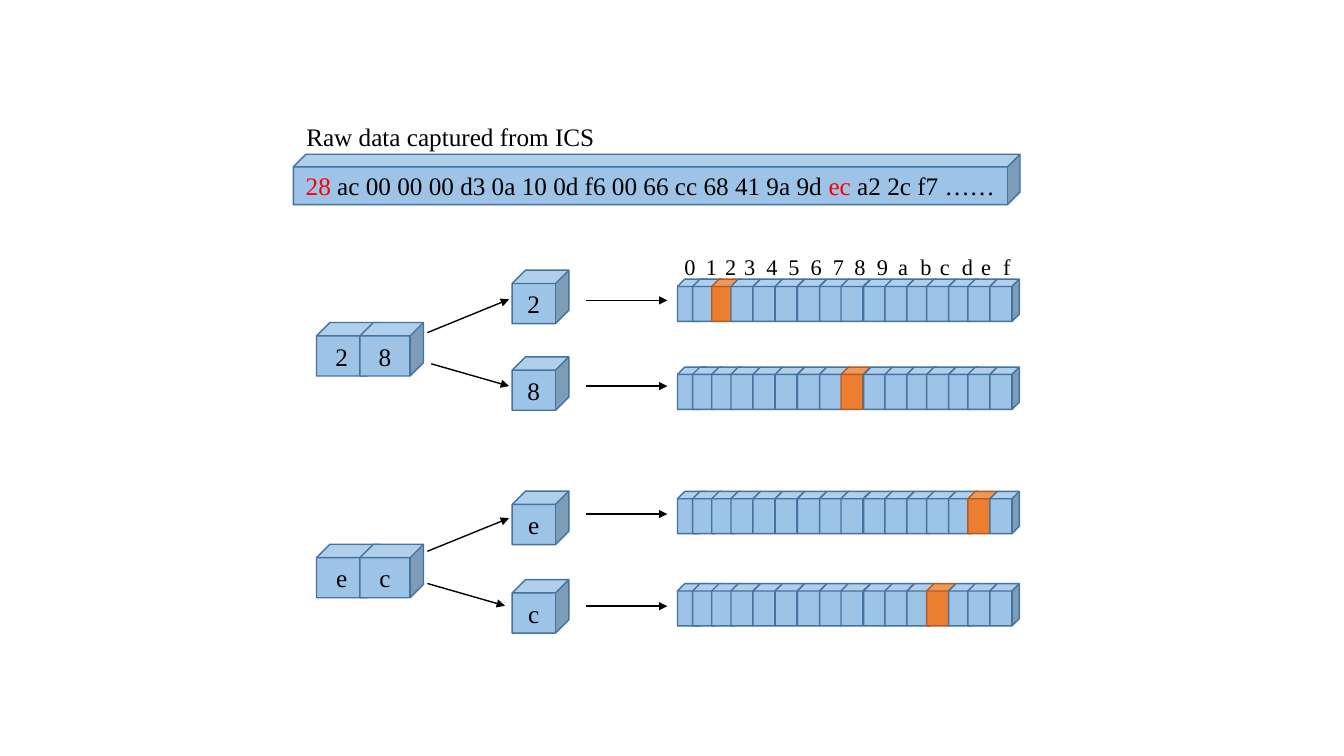
from dataclasses import dataclass

from lxml import etree
from pptx import Presentation
from pptx.dml.color import RGBColor
from pptx.enum.shapes import MSO_CONNECTOR, MSO_SHAPE
from pptx.enum.text import MSO_ANCHOR, PP_ALIGN
from pptx.oxml.ns import qn
from pptx.util import Pt


@dataclass(frozen=True)
class Theme:
    """Colours, font and type sizes of the slide."""
    font: str = "Times New Roman"
    body: int = 18
    scale: int = 16
    text: RGBColor = RGBColor(0x00, 0x00, 0x00)
    accent: RGBColor = RGBColor(0xFF, 0x00, 0x00)
    cube: tuple = (RGBColor(0x9D, 0xC3, 0xE6), RGBColor(0x43, 0x73, 0x9E))
    hot: tuple = (RGBColor(0xED, 0x7D, 0x31), RGBColor(0xAF, 0x5C, 0x24))


@dataclass(frozen=True)
class Branch:
    """Vertical offsets of one digit's parts, and the ends of its slanted arrow."""
    cube: float
    strip: float
    arrow: float
    start: tuple
    end: tuple


THEME = Theme()
HEX_DIGITS = "0123456789abcdef"
CELL_OFFSETS = (0, 10.8, 24.5, 38.2, 54, 69.8, 85.7, 101.5,
                116.8, 133, 148.2, 164, 178, 193.7, 207.4, 223.2)
BYTES = (
    ("28", 230.4, (Branch(-37.4, -31, -15.8, (79.2, 7.2), (137.5, -16.6)),
                   Branch(24.5, 31.8, 45.4, (82, 29.5), (137.5, 45.4)))),
    ("ec", 388.8, (Branch(-38, -37.8, -21.6, (79.2, 5), (137.5, -18.7)),
                   Branch(25.2, 28.1, 44.2, (79.2, 28), (134.6, 43.9)))),
)


def style_text(p, size=THEME.body, align=PP_ALIGN.LEFT):
    """Format a paragraph in the slide's font."""
    p.alignment = align
    p.font.name = THEME.font
    p.font.size = Pt(size)
    p.font.color.rgb = THEME.text


def add_cube(slide, x, y, w, h, colors=THEME.cube, runs=()):
    """Add a cube with optional (text, colour) runs on its front."""
    sp = slide.shapes.add_shape(MSO_SHAPE.CUBE, Pt(x), Pt(y), Pt(w), Pt(h))
    sp.shadow.inherit = False
    sp.fill.solid()
    sp.fill.fore_color.rgb, sp.line.color.rgb = colors
    sp.line.width = Pt(1)
    tf = sp.text_frame
    tf.vertical_anchor = MSO_ANCHOR.MIDDLE
    p = tf.paragraphs[0]
    style_text(p, align=PP_ALIGN.CENTER)
    for text, color in runs:
        r = p.add_run()
        r.text = text
        r.font.color.rgb = color


def add_label(slide, x, y, w, h, text, size):
    """Add a line of text and return its paragraph."""
    tf = slide.shapes.add_textbox(Pt(x), Pt(y), Pt(w), Pt(h)).text_frame
    tf.word_wrap = True
    p = tf.paragraphs[0]
    p.text = text
    style_text(p, size)
    return p


def add_arrow(slide, start, end):
    """Add a thin arrow between two points."""
    cxn = slide.shapes.add_connector(
        MSO_CONNECTOR.STRAIGHT, *(Pt(v) for v in (*start, *end)))
    cxn.line.color.rgb = THEME.text
    cxn.line.width = Pt(1)
    etree.SubElement(cxn.line._get_or_add_ln(), qn("a:tailEnd"), type="triangle")
    etree.SubElement(cxn._element.spPr, qn("a:effectLst"))


def draw_raw_data(slide, x, y, w, h):
    """Draw the captured byte stream and its caption above."""
    add_cube(slide, x, y, w, h, runs=(
        ("28 ", THEME.accent),
        ("ac 00 00 00 d3 0a 10 0d f6 00 66 cc 68 41 9a 9d ", THEME.text),
        ("ec ", THEME.accent),
        ("a2 2c f7 ……", THEME.text)))
    add_label(slide, x + 2.2, y - 27.4, 221.8, 28.8,
              "Raw data captured from ICS", THEME.body)


def draw_scale(slide, x, y, w, h):
    """Draw the hex digits above the cells, one tab stop per digit."""
    p = add_label(slide, x, y, w, h, "\t".join(HEX_DIGITS), THEME.scale)
    tabs = etree.SubElement(p._p.get_or_add_pPr(), qn("a:tabLst"))
    p._p.pPr.find(qn("a:defRPr")).addprevious(tabs)
    for offset in CELL_OFFSETS[1:]:
        etree.SubElement(tabs, qn("a:tab"), pos=str(int(Pt(offset + 4.6))), algn="l")


def draw_strip(slide, x, y, w, h, digit):
    """Draw the one-hot strip of cells for a hex digit."""
    for value, offset in zip(HEX_DIGITS, CELL_OFFSETS):
        colors = THEME.hot if value == digit else THEME.cube
        add_cube(slide, x + offset, y, w, h, colors)


def draw_byte(slide, x, y, digits, branches):
    """Draw a byte, its two digits and their one-hot strips."""
    for i, (digit, b) in enumerate(zip(digits, branches)):
        runs = ((digit, THEME.text),)
        add_cube(slide, x + 31 * i, y, 45.4, 38.2, runs=runs)
        add_cube(slide, x + 139.7, y + b.cube, 40.5, 38.2, runs=runs)
        draw_strip(slide, x + 257.8, y + b.strip, 21, 30.2, digit)
        add_arrow(slide, *((x + dx, y + dy) for dx, dy in (b.start, b.end)))
        add_arrow(slide, (x + 192.6, y + b.arrow), (x + 250.6, y + b.arrow))


def main():
    """Build and save the slide."""
    prs = Presentation()
    prs.slide_width, prs.slide_height = Pt(960), Pt(540)
    slide = prs.slides.add_slide(prs.slide_layouts[6])
    draw_raw_data(slide, 209.5, 110.2, 519.1, 36)
    for digits, y, branches in BYTES:
        draw_byte(slide, 226.1, y, digits, branches)
    draw_scale(slide, 481.7, 177.1, 255.6, 26.6)
    prs.save("out.pptx")


main()
